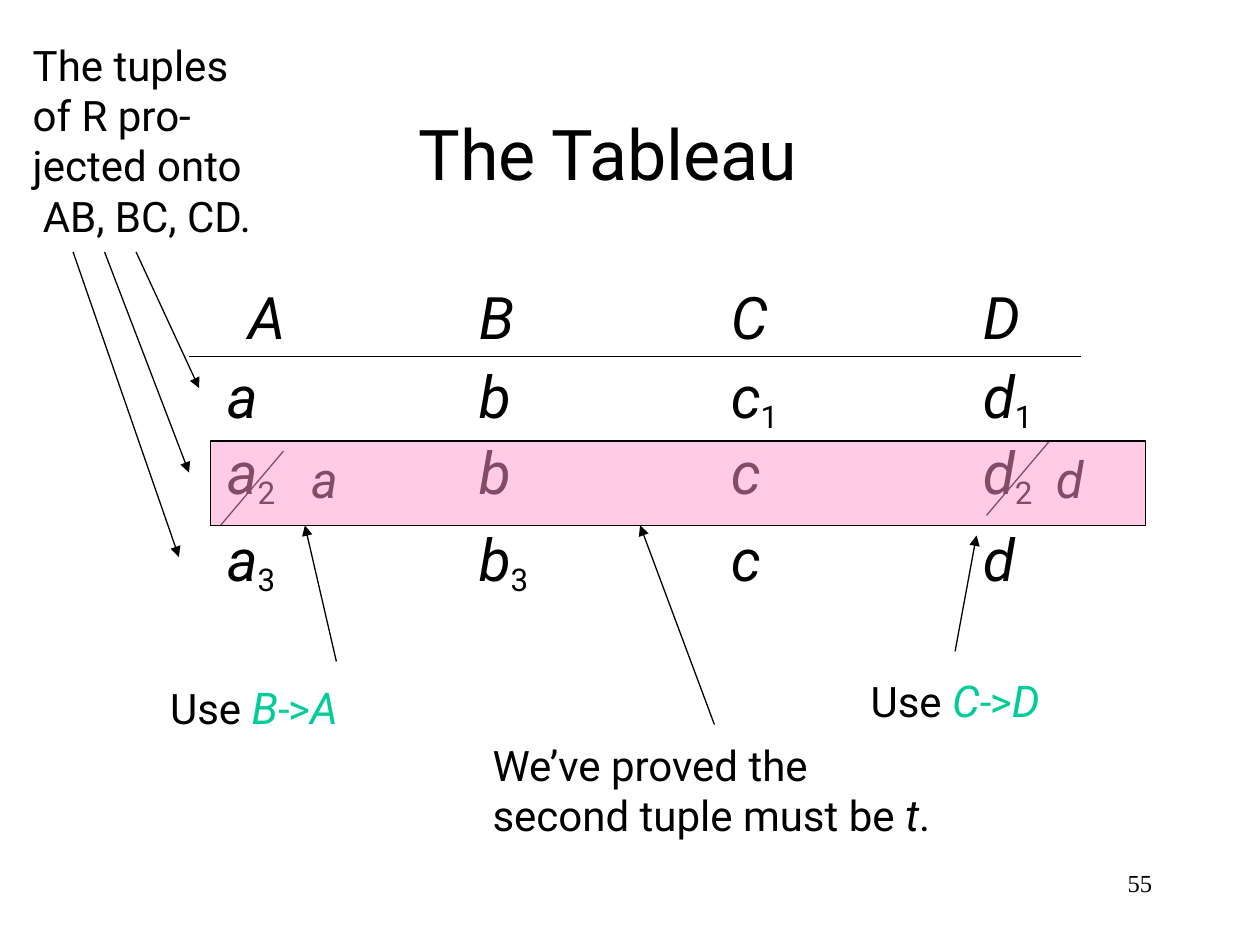
"""Build the tableau slide that proves the second tuple must be t."""
from lxml import etree
from pptx import Presentation
from pptx import util as u
from pptx.dml.color import RGBColor
from pptx.enum import shapes, text
from pptx.oxml import ns

COLORS = {"ink": "000000", "rule": "00CC99", "highlight": "FF99CC"}
SYMBOL, REPLACEMENT, NOTE = 33.5, 29, 24


class Board:
    """Hold the style and the current slide, with a method per element."""

    def __init__(self, slide, font="Roboto"):
        self.slide, self.font = slide, font

    def color(self, name):
        return RGBColor.from_string(COLORS[name])

    def run(self, paragraph, words, size, italic=False, color="ink",
            font=None, baseline=None, spacing=None):
        run = paragraph.add_run()
        run.text = words
        run.font.name = font or self.font
        run.font.size = u.Pt(size)
        run.font.italic = italic
        run.font.color.rgb = self.color(color)
        for key, value in (("baseline", baseline), ("spc", spacing)):
            if value is not None:
                run._r.get_or_add_rPr().set(key, str(value))

    def plain_frame(self, shape):
        frame = shape.text_frame
        frame.word_wrap = True
        frame.auto_size = text.MSO_AUTO_SIZE.NONE
        frame.vertical_anchor = text.MSO_ANCHOR.TOP
        frame.margin_left = frame.margin_right = 0
        frame.margin_top = frame.margin_bottom = 0
        return frame

    def title(self, words, left, top, width, height):
        title = self.slide.shapes.title
        title.left, title.top = u.Inches(left), u.Inches(top)
        title.width, title.height = u.Inches(width), u.Inches(height)
        paragraph = self.plain_frame(title).paragraphs[0]
        paragraph.alignment = text.PP_ALIGN.LEFT
        paragraph.line_spacing = 1.0
        paragraph.space_before = u.Pt(0)
        self.run(paragraph, words, 40)

    def text(self, left, top, width, height, lines, size, leading=None):
        """Add a text box; each line is a list of (words, run options)."""
        box = self.slide.shapes.add_textbox(
            u.Inches(left), u.Inches(top), u.Inches(width), u.Inches(height))
        frame = self.plain_frame(box)
        for index, line in enumerate(lines):
            paragraph = frame.add_paragraph() if index else frame.paragraphs[0]
            if leading:
                paragraph.line_spacing = u.Pt(leading)
            for words, options in line:
                self.run(paragraph, words, **{"size": size, **options})
        return frame

    def symbol(self, left, top, name, size=SYMBOL):
        """Add an italic letter, with any following digit as a subscript."""
        runs = [(name[0], {"italic": True})]
        if name[1:]:
            runs.append((name[1:], {"size": 30.8, "baseline": -18000}))
        self.text(left, top, 0.6, 0.59, [runs], size)

    def line(self, start, end, width=0.75, arrow=False):
        line = self.slide.shapes.add_connector(
            shapes.MSO_CONNECTOR.STRAIGHT,
            *(u.Inches(value) for value in (*start, *end)))
        line.line.color.rgb = self.color("ink")
        line.line.width = u.Pt(width)
        if arrow:
            etree.SubElement(line.line._get_or_add_ln(), ns.qn("a:tailEnd"),
                             type="triangle")
        etree.SubElement(line._element.spPr, ns.qn("a:effectLst"))

    def highlight(self, left, top, width, height):
        band = self.slide.shapes.add_shape(
            shapes.MSO_SHAPE.RECTANGLE, u.Inches(left), u.Inches(top),
            u.Inches(width), u.Inches(height))
        band.shadow.inherit = False
        band.fill.solid()
        band.fill.fore_color.rgb = self.color("highlight")
        fill = band._element.spPr.find(ns.qn("a:solidFill"))
        etree.SubElement(fill[0], ns.qn("a:alpha"), val="50000")
        band.line.color.rgb = self.color("ink")
        band.line.width = u.Pt(0.75)


def main():
    deck = Presentation()
    deck.slide_width, deck.slide_height = u.Inches(10), u.Inches(7.5)
    board = Board(deck.slides.add_slide(deck.slide_layouts[5]))
    board.title("The Tableau", 3.32, 0.88, 3.5, 0.69)

    columns = [1.8 + 2 * index for index in range(4)]
    board.symbol(1.97, 2.23, "A")
    for left, heading in zip(columns[1:], "BCD"):
        board.symbol(left, 2.23, heading)
    tuples = {2.86: "a b c1 d1", 3.46: "a2 b c d2", 4.15: "a3 b3 c d"}
    for top, names in tuples.items():
        for left, name in zip(columns, names.split()):
            board.symbol(left, top, name)
    board.line((1.5, 2.83), (8.58, 2.83), width=1)

    for left, bottom, name in ((1.75, 4.17, "a"), (7.83, 4.09, "d")):
        board.line((left, bottom), (left + 0.5, bottom - 0.59))
        board.symbol(left + 0.72 if name == "a" else left + 0.55, 3.55,
                     name, REPLACEMENT)
    board.highlight(1.67, 3.5, 7.42, 0.67)

    projected = board.text(
        0.26, 0.31, 2.02, 1.65,
        [[(line, {})] for line in
         ("The tuples", "of R pro-", "jected onto", "AB, BC, CD.")],
        NOTE, leading=28.8)
    projected.paragraphs[-1]._p.get_or_add_pPr().set(
        "marL", str(u.Inches(0.08)))

    rule = {"color": "rule", "spacing": -80}
    letter = {**rule, "size": 25, "italic": True}
    for left, top, source, target in ((1.35, 5.4, "B", "A"),
                                      (6.91, 5.35, "C", "D")):
        board.text(left, top, 1.6, 0.45,
                   [[("Use ", {}), (source, letter), ("->", rule),
                     (target, letter)]], NOTE)
    board.text(3.91, 5.87, 3.6, 0.83,
               [[("We’ve proved the", {})],
                [("second tuple must be ", {}),
                 ("t", {"size": 25, "italic": True}), (".", {})]],
               NOTE, leading=28.8)

    arrows = (((0.58, 2), (1.42, 4.42)), ((0.83, 2), (1.5, 3.75)),
              ((1.08, 2), (1.58, 3.08)), ((2.67, 5.25), (2.42, 4.17)),
              ((5.67, 5.75), (5.08, 4.17)), ((7.58, 5.17), (7.75, 4.25)))
    for start, end in arrows:
        board.line(start, end, arrow=True)
    board.text(8.95, 6.89, 0.28, 0.24,
               [[("55", {"font": "Times New Roman"})]], 14)
    deck.save("out.pptx")


if __name__ == "__main__":
    main()
